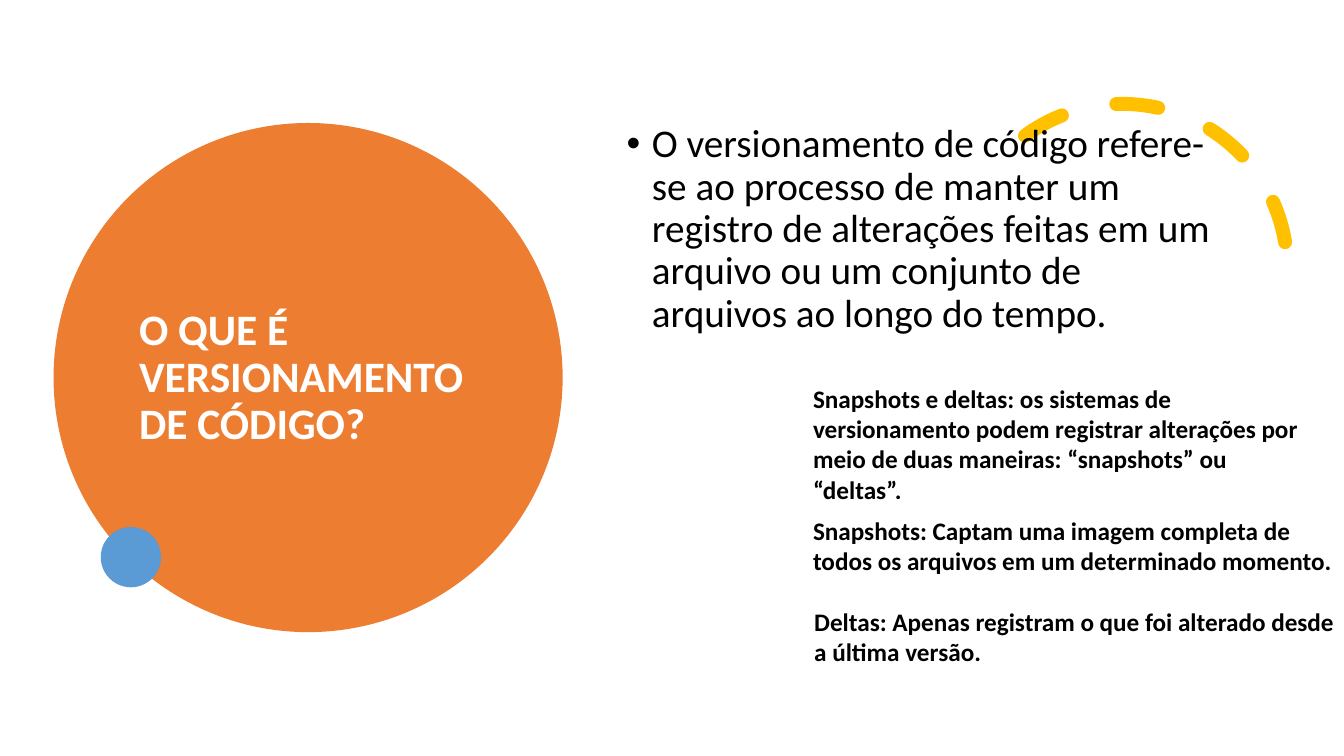
import dataclasses

import lxml.etree
import pptx
import pptx.dml.color
import pptx.enum.dml
import pptx.enum.shapes
import pptx.enum.text
import pptx.oxml.ns
import pptx.util
from pptx.util import Cm


@dataclasses.dataclass(frozen=True)
class Theme:
    font: str = "Calibri"
    orange: str = "ED7D31"
    blue: str = "5B9BD5"
    yellow: str = "FFC000"
    white: str = "FFFFFF"
    black: str = "000000"
    title_size: float = 31
    body_size: float = 28
    note_size: float = 18
    arc_width: float = 10


THEME = Theme()
TITLE = "O QUE É VERSIONAMENTO DE CÓDIGO?"
DEFINITION = (
    "O versionamento de código refere-se ao processo de manter um registro de "
    "alterações feitas em um arquivo ou um conjunto de arquivos ao longo do tempo."
)
# Text, left, top, width and height in centimetres
NOTES = [
    ("Snapshots e deltas: os sistemas de versionamento podem registrar alterações "
     "por meio de duas maneiras: “snapshots” ou “deltas”.", 20.24, 9.53, 12.78, 3.33),
    ("Snapshots: Captam uma imagem completa de todos os arquivos em um determinado "
     "momento.", 20.24, 12.85, 13.69, 1.8),
    ("Deltas: Apenas registram o que foi alterado desde a última versão.",
     20.27, 15.16, 13.69, 1.8),
]


def rgb(value):
    return pptx.dml.color.RGBColor.from_string(value)


def format_text(text_frame, text, size, color, bold=False):
    text_frame.word_wrap = True
    text_frame.text = text
    paragraph = text_frame.paragraphs[0]
    paragraph.alignment = pptx.enum.text.PP_ALIGN.LEFT
    paragraph.font.name = THEME.font
    paragraph.font.size = pptx.util.Pt(size)
    paragraph.font.bold = bold
    paragraph.font.color.rgb = rgb(color)
    return paragraph


def add_circle(slide, left, top, diameter, color):
    circle = slide.shapes.add_shape(
        pptx.enum.shapes.MSO_SHAPE.OVAL, Cm(left), Cm(top), Cm(diameter), Cm(diameter))
    circle.shadow.inherit = False
    circle.fill.solid()
    circle.fill.fore_color.rgb = rgb(color)
    circle.line.fill.background()
    return circle


def place_title(slide, backdrop):
    title = slide.shapes.title
    title.left, title.top, title.width, title.height = Cm(3.25), Cm(3.89), Cm(8.99), Cm(11.3)
    title.text_frame.vertical_anchor = pptx.enum.text.MSO_ANCHOR.MIDDLE
    title.text_frame.auto_size = pptx.enum.text.MSO_AUTO_SIZE.NONE
    paragraph = format_text(title.text_frame, TITLE, THEME.title_size, THEME.white, bold=True)
    paragraph.line_spacing = 0.9
    # The title sits in front of its circle
    backdrop.element.addnext(title.element)


def add_dashed_arc(slide):
    arc = slide.shapes.add_shape(
        pptx.enum.shapes.MSO_SHAPE.ARC, Cm(24.13), Cm(2.62), Cm(8.31), Cm(8.31))
    arc.adjustments[0], arc.adjustments[1] = 158.17, 17.81
    arc.rotation = 330.2
    arc.shadow.inherit = False
    arc.fill.background()
    arc.line.color.rgb = rgb(THEME.yellow)
    arc.line.width = pptx.util.Pt(THEME.arc_width)
    arc.line.dash_style = pptx.enum.dml.MSO_LINE.DASH
    arc.element.spPr.find(pptx.oxml.ns.qn("a:ln")).set("cap", "rnd")


def add_text_box(slide, text, left, top, width, height, size, bold=False):
    box = slide.shapes.add_textbox(Cm(left), Cm(top), Cm(width), Cm(height))
    return box, format_text(box.text_frame, text, size, THEME.black, bold)


def add_definition(slide):
    _, paragraph = add_text_box(
        slide, DEFINITION, 15.54, 3, 15.37, 10.92, THEME.body_size)
    paragraph.line_spacing = 0.9
    paragraph.space_before = pptx.util.Pt(10)
    properties = paragraph._p.get_or_add_pPr()
    indent = Cm(0.64)
    properties.set("marL", str(indent))
    properties.set("indent", str(-indent))
    for tag, name, value in (("a:buFont", "typeface", "Arial"), ("a:buChar", "char", "•")):
        bullet = lxml.etree.Element(pptx.oxml.ns.qn(tag))
        bullet.set(name, value)
        # Bullet elements come before the default run properties
        properties.find(pptx.oxml.ns.qn("a:defRPr")).addprevious(bullet)


def add_note(slide, text, left, top, width, height):
    box, _ = add_text_box(slide, text, left, top, width, height, THEME.note_size, bold=True)
    box.text_frame.auto_size = pptx.enum.text.MSO_AUTO_SIZE.SHAPE_TO_FIT_TEXT


def main():
    presentation = pptx.Presentation()
    presentation.slide_width, presentation.slide_height = Cm(33.87), Cm(19.05)
    slide = presentation.slides.add_slide(presentation.slide_layouts.get_by_name("Title Only"))

    # Title on its circle, with the decorations
    title_circle = add_circle(slide, 1.35, 3.1, 12.83, THEME.orange)
    place_title(slide, title_circle)
    add_dashed_arc(slide)
    add_circle(slide, 2.54, 13.28, 1.52, THEME.blue)

    # Definition and notes
    add_definition(slide)
    for note in NOTES:
        add_note(slide, *note)

    presentation.save("out.pptx")


if __name__ == "__main__":
    main()
